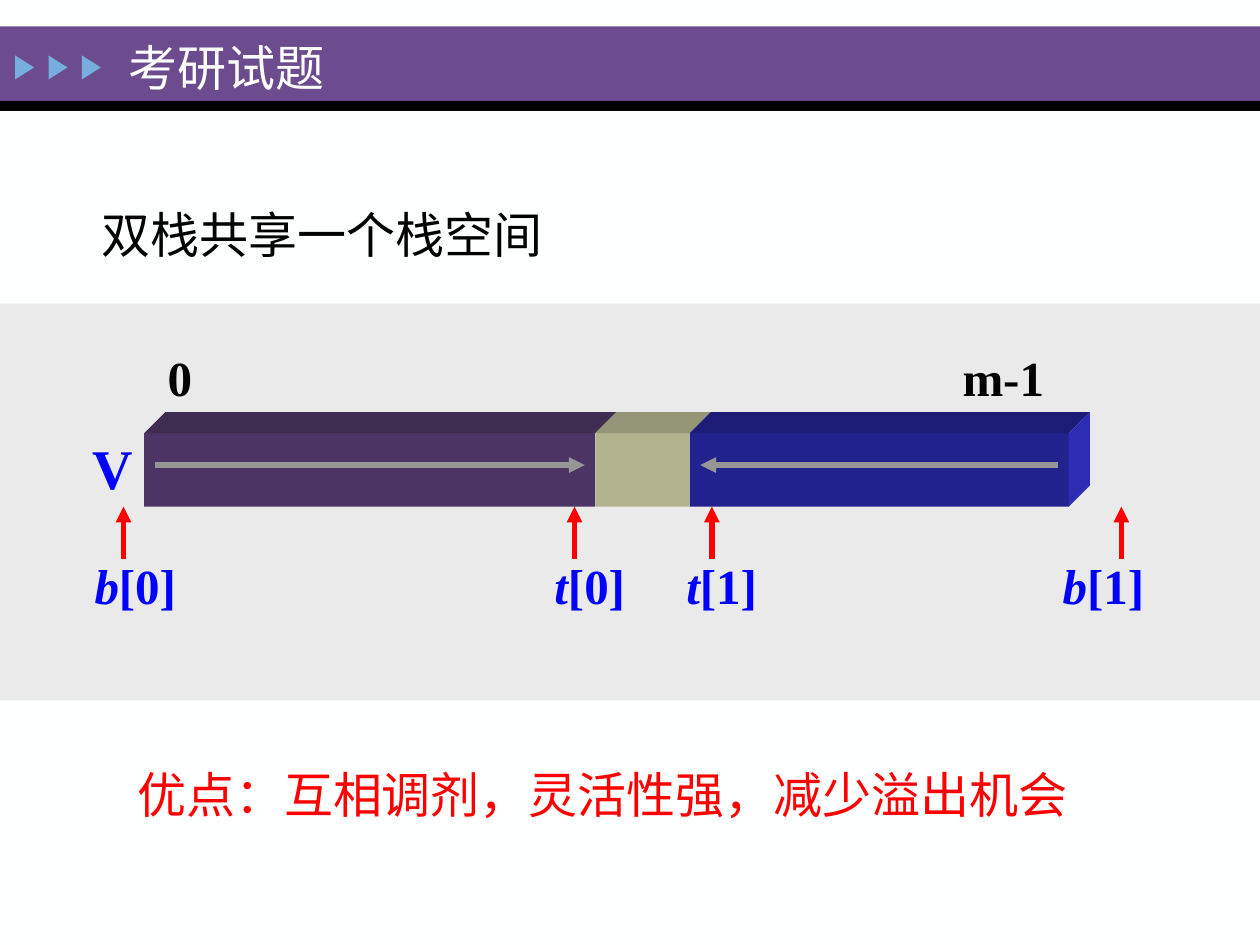
from collections import namedtuple
from dataclasses import dataclass

from lxml.etree import SubElement
from pptx import Presentation
from pptx.dml.color import RGBColor
from pptx.enum.shapes import MSO_CONNECTOR, MSO_SHAPE
from pptx.enum.text import MSO_ANCHOR
from pptx.oxml.ns import qn
from pptx.util import Pt

Box = namedtuple("Box", "left top width height")
Cell = namedtuple("Cell", "width front top")


@dataclass(frozen=True)
class Theme:
    font: str = "Times New Roman"
    body_size: int = 28
    array_size: int = 32
    arrow_width: int = 3
    background: str = "FEFFFF"
    header: str = "6C4C8F"
    rule: str = "000000"
    marker: str = "76AEDD"
    panel: str = "EAEAEA"
    text: str = "000000"
    label: str = "0000FF"
    accent: str = "FF0000"
    growth: str = "969696"
    first_front: str = "4C3564"
    first_top: str = "3F2D51"
    free_front: str = "B3B38F"
    free_top: str = "959577"
    second_front: str = "22228F"
    second_top: str = "1C1C77"
    second_side: str = "2D2DB3"


THEME = Theme()


def paint(shape, color):
    shape.shadow.inherit = False
    shape.fill.solid()
    shape.fill.fore_color.rgb = RGBColor.from_string(color)
    shape.line.fill.background()


def add_block(slide, box, color, kind=MSO_SHAPE.RECTANGLE):
    shape = slide.shapes.add_shape(kind, *map(Pt, box))
    paint(shape, color)
    return shape


def add_face(slide, points, color):
    corners = [(Pt(x), Pt(y)) for x, y in points]
    builder = slide.shapes.build_freeform(*corners[0])
    builder.add_line_segments(corners[1:], close=True)
    paint(builder.convert_to_shape(), color)


def add_text(slide, box, text, size=THEME.body_size, color=THEME.text, bold=False,
             italic_count=0, anchor=MSO_ANCHOR.TOP, line_spacing=None):
    frame = slide.shapes.add_textbox(*map(Pt, box)).text_frame
    frame.word_wrap = True
    frame.vertical_anchor = anchor
    frame.margin_left = frame.margin_right = 0
    frame.margin_top = frame.margin_bottom = 0
    paragraph = frame.paragraphs[0]
    if line_spacing:
        paragraph.line_spacing = line_spacing
    for part, italic in ((text[:italic_count], True), (text[italic_count:], False)):
        if part:
            run = paragraph.add_run()
            run.text = part
            run.font.name = THEME.font
            run.font.size = Pt(size)
            run.font.bold = bold
            run.font.italic = italic
            run.font.color.rgb = RGBColor.from_string(color)


def add_arrow(slide, start, end, color):
    connector = slide.shapes.add_connector(MSO_CONNECTOR.STRAIGHT, *map(Pt, (*start, *end)))
    connector.line.color.rgb = RGBColor.from_string(color)
    connector.line.width = Pt(THEME.arrow_width)
    SubElement(connector.line._get_or_add_ln(), qn("a:tailEnd"), type="triangle")
    SubElement(connector._element.spPr, qn("a:effectLst"))


def add_header(slide, box, title):
    rule_height = 5.76
    bar = box._replace(height=box.height - rule_height)
    add_block(slide, bar, THEME.header)
    add_block(slide, Box(box.left, bar.top + bar.height, box.width, rule_height), THEME.rule)
    for index in range(3):
        marker = Box(box.left + 7.2 + 19.08 * index, bar.top + 18, 13.68, 10.8)
        add_block(slide, marker, THEME.marker, MSO_SHAPE.ISOSCELES_TRIANGLE).rotation = 90
    add_text(slide, Box(box.left + 73.4, bar.top + 5, 490, 36), title,
             color=THEME.background, anchor=MSO_ANCHOR.MIDDLE)


def add_array(slide, box, cells, depth):
    left, top = box.left, box.top
    bottom = top + box.height
    for cell in cells:
        right = left + cell.width
        add_block(slide, Box(left, top, cell.width, box.height), cell.front)
        add_face(slide, [(left, top), (left + depth, top - depth),
                         (right + depth, top - depth), (right, top)], cell.top)
        left = right
    add_face(slide, [(left, top), (left + depth, top - depth),
                     (left + depth, bottom - depth), (left, bottom)], THEME.second_side)


def add_stack_diagram(slide, box):
    add_block(slide, box, THEME.panel)
    cells = [Cell(257.76, THEME.first_front, THEME.first_top),
             Cell(54, THEME.free_front, THEME.free_top),
             Cell(216.6, THEME.second_front, THEME.second_top)]
    array = Box(box.left + 82.4, box.top + 74, sum(cell.width for cell in cells), 42)
    array_right = array.left + array.width
    array_bottom = array.top + array.height
    add_array(slide, array, cells, 12)

    inset, growth_y = 6, array.top + 18.2
    first_end = array.left + cells[0].width
    second_start = array_right - cells[2].width
    add_arrow(slide, (array.left + inset, growth_y), (first_end - inset, growth_y), THEME.growth)
    add_arrow(slide, (array_right - inset, growth_y), (second_start + inset, growth_y), THEME.growth)

    add_text(slide, Box(box.left + 52.6, array.top, 30, 38), "V",
             size=THEME.array_size, color=THEME.label, bold=True)
    for text, left in (("0", 95.8), ("m-1", 550)):
        add_text(slide, Box(box.left + left, box.top + 25.2, 60, 34), text, bold=True)

    pointers = (("b[0]", 54, 70.56), ("t[0]", 316.8, 328.3),
                ("t[1]", 392.2, 406.8), ("b[1]", 607.2, 640.8))
    for text, left, arrow_x in pointers:
        add_arrow(slide, (box.left + arrow_x, array_bottom + 30),
                  (box.left + arrow_x, array_bottom), THEME.accent)
        add_text(slide, Box(box.left + left, array_bottom + 28, 60, 34), text,
                 color=THEME.label, bold=True, italic_count=1)


def main():
    presentation = Presentation()
    presentation.slide_width, presentation.slide_height = Pt(720), Pt(540)
    slide = presentation.slides.add_slide(presentation.slide_layouts[6])
    slide.background.fill.solid()
    slide.background.fill.fore_color.rgb = RGBColor.from_string(THEME.background)
    add_header(slide, Box(0, 15.12, 720, 48.24), "考研试题")
    add_stack_diagram(slide, Box(0, 173.52, 720, 226.8))
    add_text(slide, Box(58.2, 115.2, 340, 38), "双栈共享一个栈空间", line_spacing=1.05)
    add_text(slide, Box(78.5, 437, 570, 36), "优点：互相调剂，灵活性强，减少溢出机会", color=THEME.accent)
    presentation.save("out.pptx")


if __name__ == "__main__":
    main()
